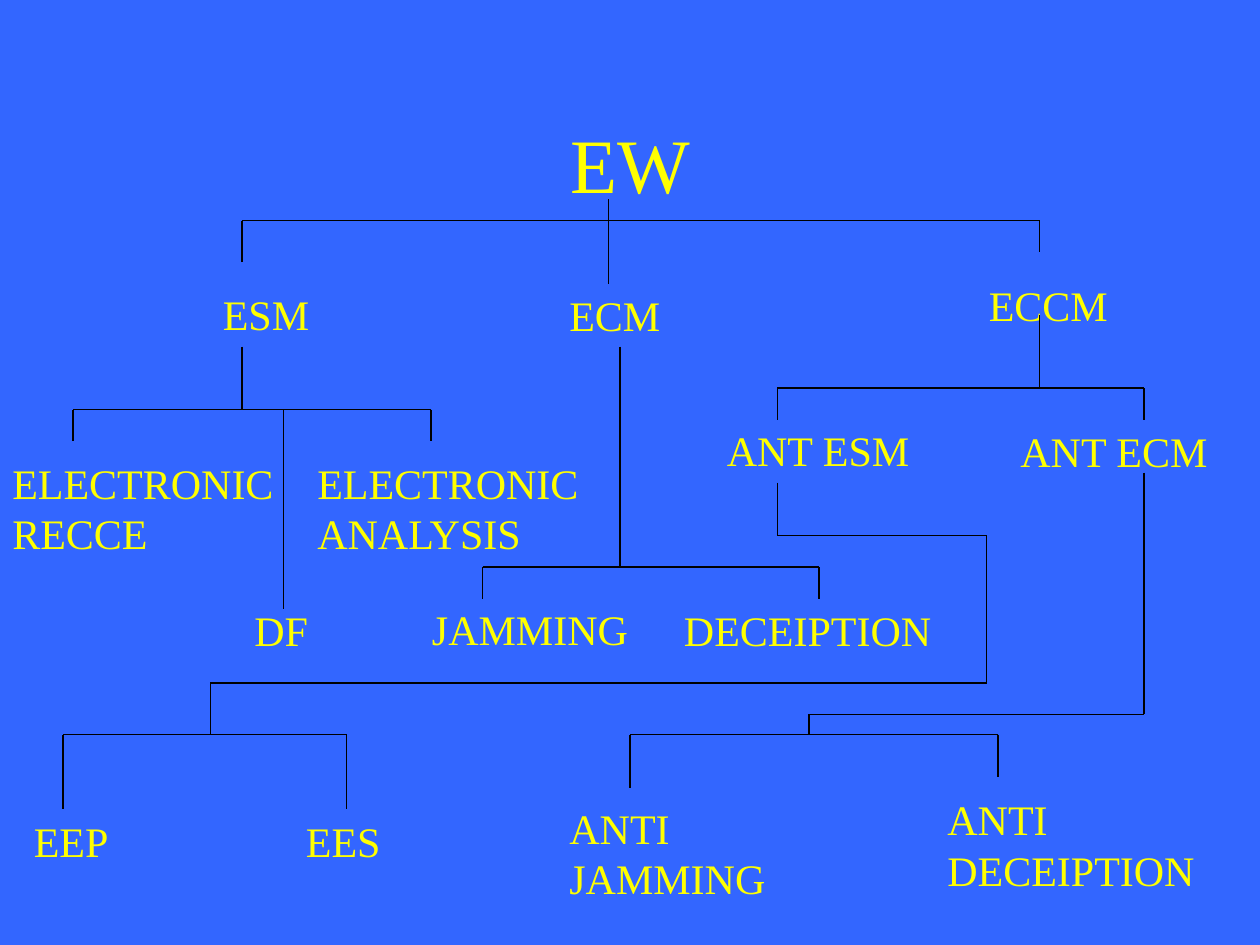
"""Build a slide with the EW hierarchy tree."""
import dataclasses
import itertools

import pptx
import pptx.dml.color
import pptx.enum.shapes
import pptx.enum.text
import pptx.oxml
import pptx.oxml.ns
import pptx.util
from pptx.util import Inches


@dataclasses.dataclass(frozen=True)
class Theme:
    background: str = "3366FF"
    text: str = "FFFF00"
    line: str = "000000"
    font: str = "Times New Roman"
    title_size: int = 44
    label_size: int = 24
    label_gap: int = 15
    line_width: float = 0.75


theme = Theme()


def color(value):
    return pptx.dml.color.RGBColor.from_string(value)


def add_span(para, words, size):
    span = para.add_run()
    span.text = words
    span.font.name = theme.font
    span.font.size = pptx.util.Pt(size)
    span.font.color.rgb = color(theme.text)


deck = pptx.Presentation()
deck.slide_width = Inches(10)
deck.slide_height = Inches(7.5)
page = deck.slides.add_slide(deck.slide_layouts[5])
page.background.fill.solid()
page.background.fill.fore_color.rgb = color(theme.background)

title = page.shapes.title
title.left, title.top = Inches(0.75), Inches(0.67)
title.width, title.height = Inches(8.5), Inches(1.25)
title.text_frame.vertical_anchor = pptx.enum.text.MSO_ANCHOR.MIDDLE
title_para = title.text_frame.paragraphs[0]
title_para.alignment = pptx.enum.text.PP_ALIGN.CENTER
add_span(title_para, "EW", theme.title_size)

one_line, two_lines = 0.5, 0.9
labels = [
    ("ESM", 1.67, 2.24, 1.17, one_line),
    ("ECM", 4.42, 2.25, 2, one_line),
    ("ECCM", 7.75, 2.17, 1.83, one_line),
    ("ELECTRONIC RECCE", 0, 3.58, 2.33, two_lines),
    ("ELECTRONIC\nANALYSIS", 2.42, 3.58, 2.33, two_lines),
    ("DF", 1.92, 4.75, 0.75, one_line),
    ("JAMMING", 3.33, 4.74, 1.83, one_line),
    ("DECEIPTION", 5.33, 4.75, 2.58, one_line),
    ("ANT ESM", 5.67, 3.32, 2, one_line),
    ("ANT ECM", 8, 3.33, 1.75, one_line),
    ("EEP", 0.17, 6.42, 1.08, one_line),
    ("EES", 2.33, 6.42, 1.08, one_line),
    ("ANTI JAMMING", 4.42, 6.32, 1.92, two_lines),
    ("ANTI DECEIPTION", 7.42, 6.25, 2.25, two_lines),
]
for words, *place in labels:
    box = page.shapes.add_textbox(*map(Inches, place))
    box.text_frame.word_wrap = True
    box.text_frame.auto_size = pptx.enum.text.MSO_AUTO_SIZE.SHAPE_TO_FIT_TEXT
    para = box.text_frame.paragraphs[0]
    para.space_before = pptx.util.Pt(theme.label_gap)
    for number, part in enumerate(words.split("\n")):
        if number:
            para.add_line_break()
        add_span(para, part, theme.label_size)

stems = [
    [(4.83, 1.58), (4.83, 2.25)],
    [(1.92, 2.75), (1.92, 3.25)],
    [(2.25, 3.25), (2.25, 4.83)],
    [(4.92, 2.75), (4.92, 4.5)],
    [(8.25, 2.5), (8.25, 3.08)],
    [(6.17, 3.83), (6.17, 4.25), (7.83, 4.25), (7.83, 5.42), (1.67, 5.42), (1.67, 5.83)],
    [(9.08, 3.75), (9.08, 5.67), (6.42, 5.67), (6.42, 5.83)],
]
forks = [
    (1.92, 8.25, 1.75, 2.08, 2),
    (0.58, 3.42, 3.25, 3.5, 3.5),
    (3.83, 6.5, 4.5, 4.75, 4.75),
    (6.17, 9.08, 3.08, 3.33, 3.33),
    (0.5, 2.75, 5.83, 6.42, 6.42),
    (5, 7.92, 5.83, 6.25, 6.17),
]
branches = [
    [(left, left_end), (left, bar), (right, bar), (right, right_end)]
    for left, right, bar, left_end, right_end in forks
]
for route in stems + branches:
    for start, end in itertools.pairwise(route):
        line = page.shapes.add_connector(
            pptx.enum.shapes.MSO_CONNECTOR.STRAIGHT, *map(Inches, start + end)
        )
        line.line.color.rgb = color(theme.line)
        line.line.width = pptx.util.Pt(theme.line_width)
        properties = line.element.find(pptx.oxml.ns.qn("p:spPr"))
        properties.append(pptx.oxml.parse_xml(f"<a:effectLst {pptx.oxml.ns.nsdecls('a')}/>"))

deck.save("out.pptx")
